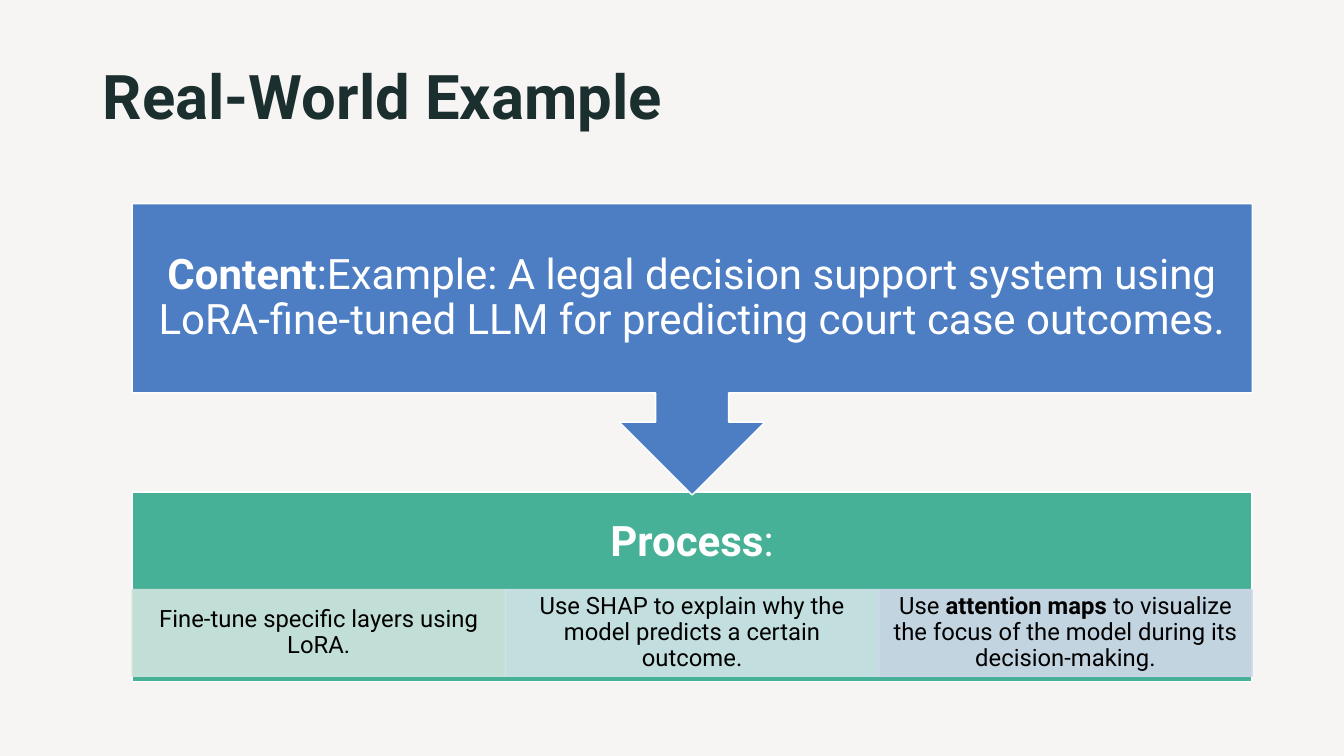
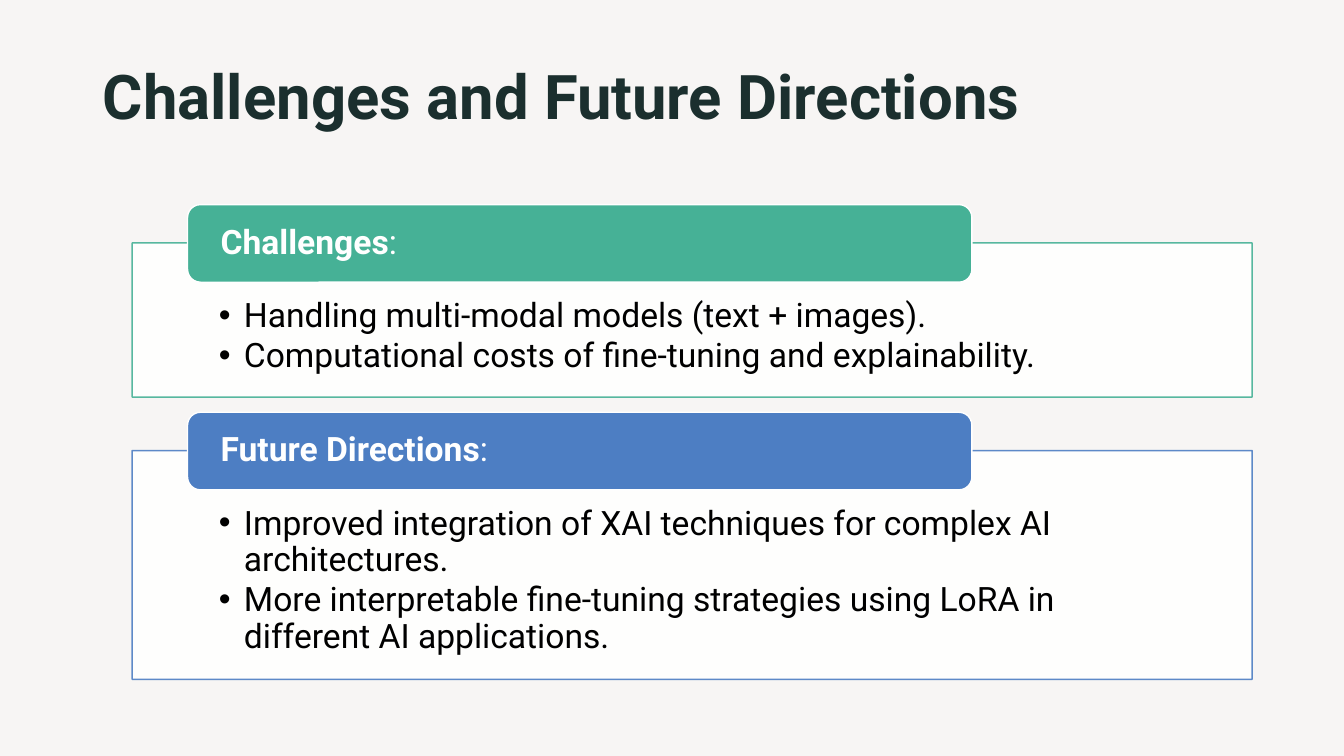
from lxml.etree import SubElement
from pptx import Presentation
from pptx.dml.color import RGBColor
from pptx.enum.shapes import MSO_SHAPE
from pptx.enum.text import MSO_ANCHOR, MSO_AUTO_SIZE, PP_ALIGN
from pptx.oxml.ns import qn
from pptx.util import Inches, Pt

FONT = "Roboto"
BACKGROUND = RGBColor(0xF7, 0xF5, 0xF4)
INK = RGBColor(0x1B, 0x2F, 0x2E)
BLACK = RGBColor(0x00, 0x00, 0x00)
WHITE = RGBColor(0xFF, 0xFF, 0xFF)
GREEN = RGBColor(0x46, 0xB1, 0x96)
BLUE = RGBColor(0x4D, 0x7E, 0xC3)
MINT = RGBColor(0xCF, 0xE4, 0xDD)
AQUA = RGBColor(0xD0, 0xE3, 0xE7)
LAVENDER = RGBColor(0xD0, 0xD8, 0xE9)

TWO_CONTENT_LAYOUT, TITLE_ONLY_LAYOUT = 3, 5
LEFT, WIDTH = 1.31, 11.11
STEP_TOP, STEP_HEIGHT = 5.85, 0.86
TAB_HEIGHT, TAB_OVERLAP = 0.77, 0.38


def place(shape, left, top, width, height):
    shape.left, shape.top = Inches(left), Inches(top)
    shape.width, shape.height = Inches(width), Inches(height)


def paint(shape, fill, line, opacity=100):
    shape.fill.solid()
    shape.fill.fore_color.rgb = fill
    shape.line.color.rgb = line
    shape.line.width = Pt(1)
    if opacity < 100:
        for color in shape._element.spPr.iter(qn("a:srgbClr")):
            SubElement(color, qn("a:alpha")).set("val", str(opacity * 1000))


def set_margins(frame, left, top, right, bottom):
    frame.margin_left, frame.margin_top = Inches(left), Inches(top)
    frame.margin_right, frame.margin_bottom = Inches(right), Inches(bottom)


def format_run(run, size, color, bold=False):
    run.font.name = FONT
    run.font.size = Pt(size)
    run.font.color.rgb = color
    run.font.bold = bold


def add_block(slide, preset, box, fill, line, opacity=100):
    block = slide.shapes.add_shape(preset, *map(Inches, box))
    block.shadow.inherit = False
    paint(block, fill, line, opacity)
    return block


def write_label(block, parts, size, color, margins, align=PP_ALIGN.CENTER):
    """Write one paragraph from (text, bold) parts, centred vertically."""
    frame = block.text_frame
    frame.word_wrap = True
    frame.vertical_anchor = MSO_ANCHOR.MIDDLE
    set_margins(frame, *margins)
    paragraph = frame.paragraphs[0]
    paragraph.alignment = align
    paragraph.line_spacing = 0.9
    for text, bold in parts:
        run = paragraph.add_run()
        run.text = text
        format_run(run, size, color, bold)


def style_master(master):
    master.background.fill.solid()
    master.background.fill.fore_color.rgb = BACKGROUND
    title = master.placeholders[0]
    place(title, 0.92, 0.61, 11.32, 1.4)
    title.text_frame.vertical_anchor = MSO_ANCHOR.TOP


def add_titled_slide(prs, layout, title):
    slide = prs.slides.add_slide(prs.slide_layouts[layout])
    slide.shapes.title.text_frame.text = title
    paragraph = slide.shapes.title.text_frame.paragraphs[0]
    paragraph.alignment = PP_ALIGN.LEFT
    paragraph.line_spacing = 0.9
    format_run(paragraph.runs[0], 44, INK, bold=True)
    return slide


def add_process_steps(slide, steps):
    width = WIDTH / len(steps)
    for index, (parts, color) in enumerate(steps):
        box = (LEFT + index * width, STEP_TOP, width, STEP_HEIGHT)
        step = add_block(slide, MSO_SHAPE.RECTANGLE, box, color, color, 90)
        write_label(step, parts, 17, BLACK, (0.13, 0.02, 0.13, 0.02))


def fill_list_panel(panel, items, top, height, accent):
    place(panel, LEFT, top, WIDTH, height)
    paint(panel, WHITE, accent, 90)
    frame = panel.text_frame
    frame.text = "\n".join(items)
    frame.auto_size = MSO_AUTO_SIZE.NONE
    frame.vertical_anchor = MSO_ANCHOR.TOP
    set_margins(frame, 0.86, 0.55, 0.86, 0.19)
    for paragraph in frame.paragraphs:
        paragraph.line_spacing = 0.9
        paragraph.space_before = Pt(0)
        paragraph.space_after = Pt(3)
        properties = paragraph._p.get_or_add_pPr()
        properties.set("marL", str(Inches(0.25)))
        properties.set("indent", str(-Inches(0.25)))
        format_run(paragraph.runs[0], 24, BLACK)


def add_tab(slide, heading, panel_top, accent):
    box = (1.86, panel_top - TAB_OVERLAP, 7.78, TAB_HEIGHT)
    tab = add_block(slide, MSO_SHAPE.ROUNDED_RECTANGLE, box, accent, WHITE)
    write_label(tab, [(heading, True), (":", False)], 24, WHITE,
                (0.29, 0, 0.29, 0), PP_ALIGN.LEFT)


def build_example(prs):
    slide = add_titled_slide(prs, TITLE_ONLY_LAYOUT, "Real-World Example")
    process = add_block(slide, MSO_SHAPE.RECTANGLE,
                        (LEFT, 4.88, WIDTH, 1.88), GREEN, WHITE)
    write_label(process, [("Process", True), (":", False)], 30, WHITE,
                (0.23, 0.23, 0.23, 1.1))
    add_process_steps(slide, [
        ([("Fine-tune specific layers using LoRA.", False)], MINT),
        ([("Use SHAP to explain why the model predicts a certain outcome.",
           False)], AQUA),
        ([("Use ", False), ("attention maps", True),
          (" to visualize the focus of the model during its decision-making.",
           False)], LAVENDER),
    ])
    content = add_block(slide, MSO_SHAPE.DOWN_ARROW_CALLOUT,
                        (LEFT, 2.02, WIDTH, 2.89), BLUE, WHITE)
    write_label(content, [
        ("Content", True),
        (":Example: A legal decision support system using LoRA-fine-tuned LLM "
         "for predicting court case outcomes.", False),
    ], 30, WHITE, (0.23, 0.23, 0.23, 0.23))


def build_challenges(prs):
    slide = add_titled_slide(prs, TWO_CONTENT_LAYOUT,
                             "Challenges and Future Directions")
    sections = [
        ("Challenges", 2.41, 1.53, GREEN, [
            "Handling multi-modal models (text + images).",
            "Computational costs of fine-tuning and explainability."]),
        ("Future Directions", 4.47, 2.27, BLUE, [
            "Improved integration of XAI techniques for complex AI "
            "architectures.",
            "More interpretable fine-tuning strategies using LoRA in "
            "different AI applications."]),
    ]
    for index, (heading, top, height, accent, items) in enumerate(sections, 1):
        fill_list_panel(slide.placeholders[index], items, top, height, accent)
        add_tab(slide, heading, top, accent)


def main():
    prs = Presentation()
    prs.slide_width, prs.slide_height = Inches(13.33), Inches(7.5)
    style_master(prs.slide_master)
    build_example(prs)
    build_challenges(prs)
    prs.save("out.pptx")


if __name__ == "__main__":
    main()
